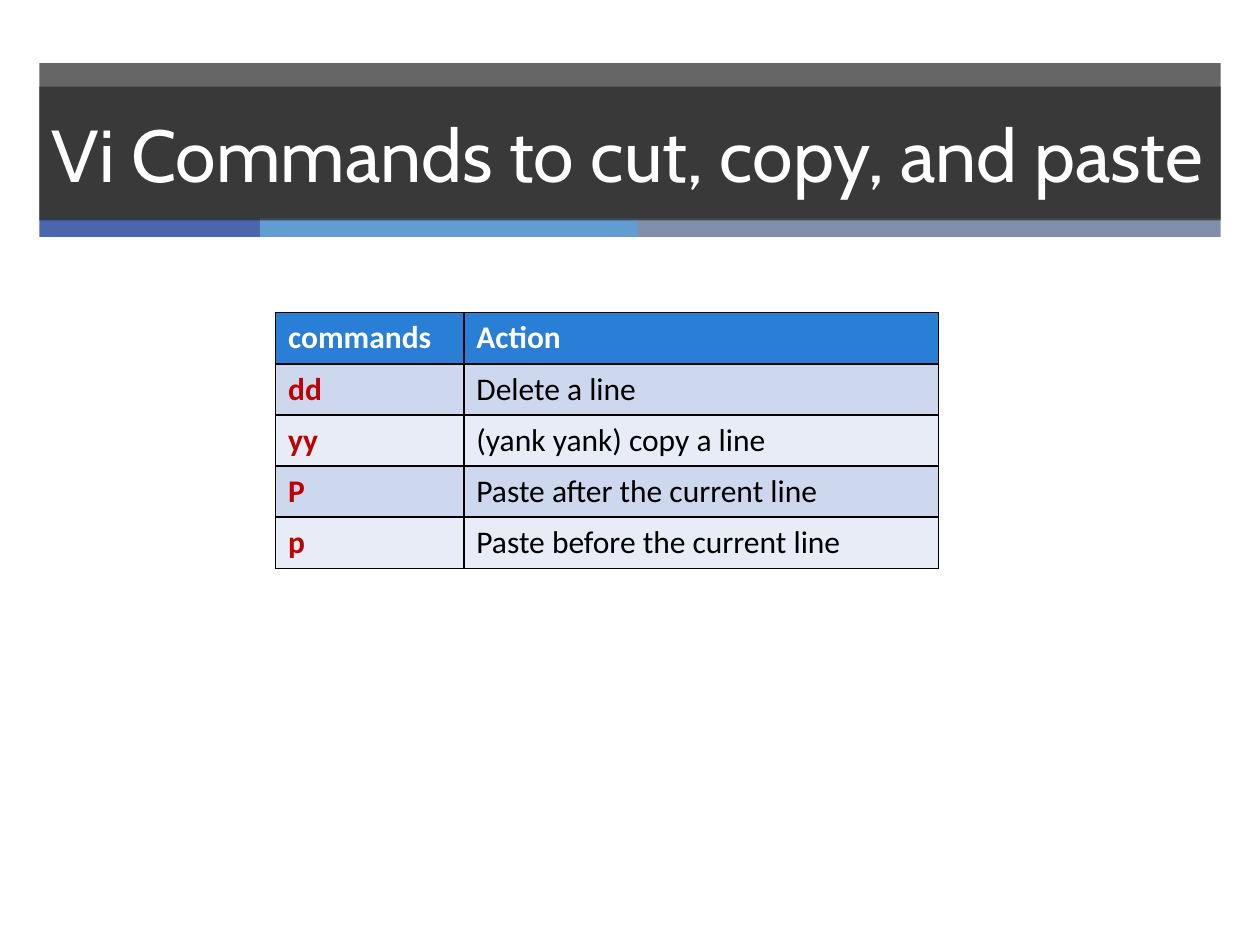
from dataclasses import dataclass

from pptx import Presentation
from pptx.dml.color import RGBColor
from pptx.enum.shapes import MSO_SHAPE
from pptx.enum.text import MSO_ANCHOR, MSO_AUTO_SIZE, PP_ALIGN
from pptx.oxml import parse_xml
from pptx.oxml.ns import nsdecls
from pptx.util import Inches, Length, Pt

WHITE = RGBColor(0xFF, 0xFF, 0xFF)
BLACK = RGBColor(0x00, 0x00, 0x00)
CHARCOAL = RGBColor(0x26, 0x26, 0x26)
INDIGO = RGBColor(0x4A, 0x66, 0xAC)
SKY = RGBColor(0x62, 0x9D, 0xD1)
SLATE = RGBColor(0x7F, 0x8F, 0xA9)
HEADER_BLUE = RGBColor(0x29, 0x7F, 0xD5)
BAND_DARK = RGBColor(0xCD, 0xD8, 0xEF)
BAND_LIGHT = RGBColor(0xE8, 0xEC, 0xF7)
COMMAND_RED = RGBColor(0xC0, 0x00, 0x00)

GRID_STEPS = 16  # grid steps to the inch
BANNER_LEFT, BANNER_WIDTH = 5, 150
BANNER_OPACITY = 70
STRIP_TOP, STRIP_HEIGHT = 27.7, 2.4


@dataclass(frozen=True)
class Bar:
    left: float
    top: float
    width: float
    height: float
    color: RGBColor
    opacity: int = 100


@dataclass(frozen=True)
class Command:
    keys: str
    action: str


BARS = [
    Bar(BANNER_LEFT, 8, BANNER_WIDTH, 19.8, CHARCOAL, BANNER_OPACITY),
    Bar(5, STRIP_TOP, 28, STRIP_HEIGHT, INDIGO),
    Bar(33, STRIP_TOP, 48, STRIP_HEIGHT, SKY),
    Bar(81, STRIP_TOP, 74, STRIP_HEIGHT, SLATE),
]
HEADER = Command("commands", "Action")
COMMANDS = [
    Command("dd", "Delete a line"),
    Command("yy", "(yank yank) copy a line"),
    Command("P", "Paste after the current line"),
    Command("p", "Paste before the current line"),
]
TABLE_LEFT, TABLE_TOP = 35, 39.7
COLUMN_WIDTHS = [23.9, 60.3]
ROW_HEIGHT = 6.5


def grid(steps: float) -> Length:
    return Inches(steps / GRID_STEPS)


def fill_solid(shape, color: RGBColor, opacity: int = 100) -> None:
    shape.fill.solid()
    shape.fill.fore_color.rgb = color
    if opacity < 100:
        tint = shape.fill._xPr.solidFill[0]
        tint.append(parse_xml(f'<a:alpha {nsdecls("a")} val="{opacity * 1000}"/>'))


def write(frame, text: str, *, font: str, size: float, color: RGBColor,
          bold: bool = False) -> None:
    para = frame.paragraphs[0]
    para.alignment = PP_ALIGN.LEFT
    span = para.add_run()
    span.text = text
    span.font.name = font
    span.font.size = Pt(size)
    span.font.bold = bold
    span.font.color.rgb = color


def draw_bar(page, bar: Bar) -> None:
    shape = page.shapes.add_shape(MSO_SHAPE.RECTANGLE, grid(bar.left), grid(bar.top),
                                  grid(bar.width), grid(bar.height))
    shape.shadow.inherit = False
    shape.line.fill.background()
    fill_solid(shape, bar.color, bar.opacity)


def place_title(page, text: str) -> None:
    """Format the title placeholder and bring it in front of the bars."""
    title = page.shapes.title
    title.left, title.top = grid(BANNER_LEFT), grid(11)
    title.width, title.height = grid(BANNER_WIDTH), grid(17)
    fill_solid(title, CHARCOAL, BANNER_OPACITY)
    frame = title.text_frame
    frame.word_wrap = True
    frame.auto_size = MSO_AUTO_SIZE.NONE
    frame.vertical_anchor = MSO_ANCHOR.MIDDLE
    write(frame, text, font="Cabin", size=42, color=WHITE)
    title._element.getparent().append(title._element)


def outline_cell(cell) -> None:
    properties = cell._tc.get_or_add_tcPr()
    for index, side in enumerate(("lnL", "lnR", "lnT", "lnB")):
        properties.insert(index, parse_xml(
            f'<a:{side} {nsdecls("a")} w="{Pt(1)}"><a:solidFill>'
            f'<a:srgbClr val="{BLACK}"/></a:solidFill></a:{side}>'))


def draw_cell(cell, text: str, *, fill: RGBColor, color: RGBColor, bold: bool) -> None:
    fill_solid(cell, fill)
    outline_cell(cell)
    cell.vertical_anchor = MSO_ANCHOR.MIDDLE
    write(cell.text_frame, text, font="Calibri", size=18, color=color, bold=bold)


def draw_table(page, commands: list[Command]) -> None:
    row_count = len(commands) + 1
    table = page.shapes.add_table(
        row_count, len(COLUMN_WIDTHS), grid(TABLE_LEFT), grid(TABLE_TOP),
        grid(sum(COLUMN_WIDTHS)), grid(ROW_HEIGHT * row_count)).table
    for column, width in zip(table.columns, COLUMN_WIDTHS):
        column.width = grid(width)
    for index, command in enumerate([HEADER, *commands]):
        table.rows[index].height = grid(ROW_HEIGHT)
        is_header = index == 0
        band = BAND_DARK if index % 2 else BAND_LIGHT
        fill = HEADER_BLUE if is_header else band
        draw_cell(table.cell(index, 0), command.keys, fill=fill,
                  color=WHITE if is_header else COMMAND_RED, bold=True)
        draw_cell(table.cell(index, 1), command.action, fill=fill,
                  color=WHITE if is_header else BLACK, bold=is_header)


def main() -> None:
    deck = Presentation()
    deck.slide_width, deck.slide_height = Inches(10), Inches(7.5)
    page = deck.slides.add_slide(deck.slide_layouts[5])
    for bar in BARS:
        draw_bar(page, bar)
    place_title(page, "Vi Commands to cut, copy, and paste")
    draw_table(page, COMMANDS)
    deck.save("out.pptx")


if __name__ == "__main__":
    main()
